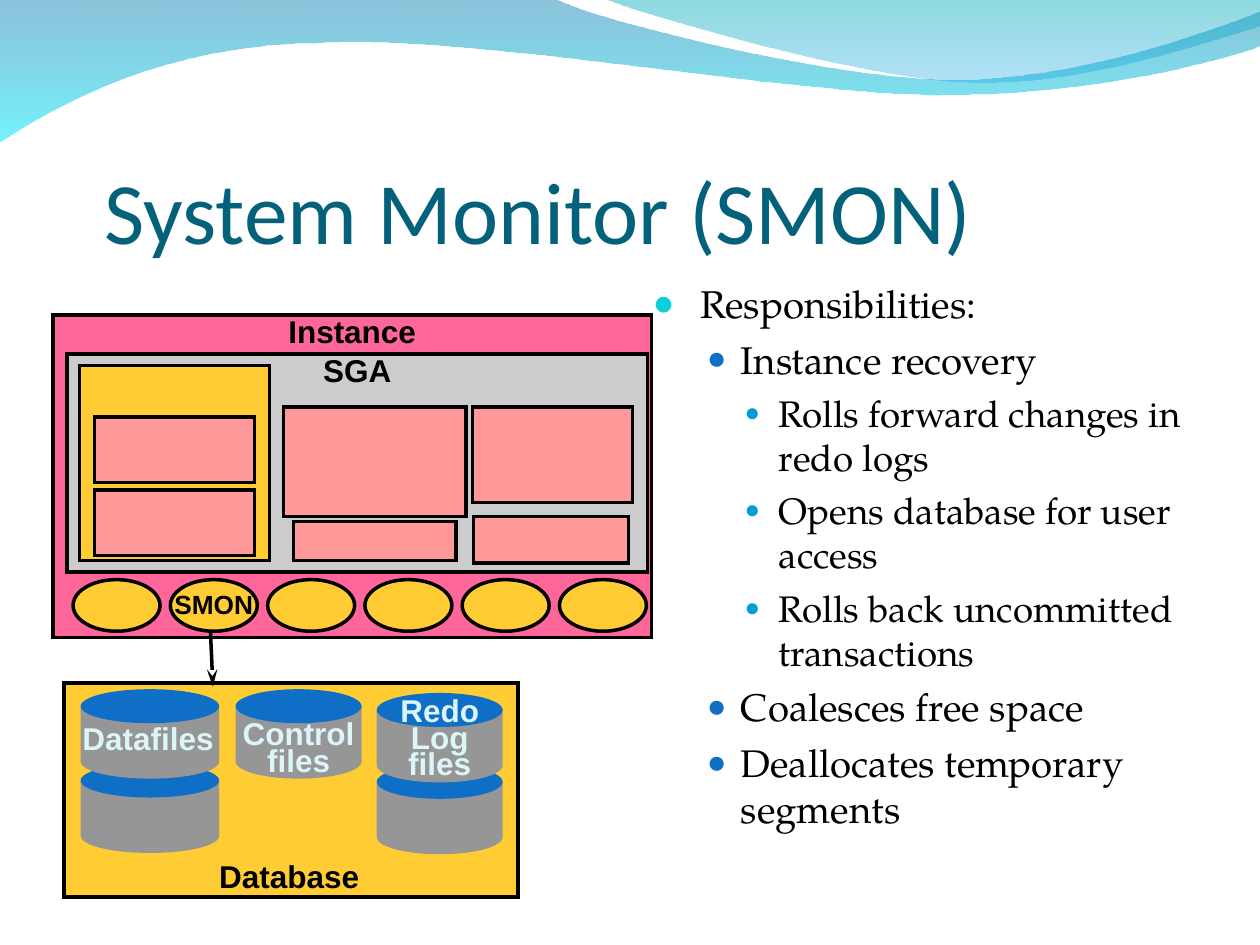
"""Build the System Monitor (SMON) slide."""
from lxml import etree
from pptx import Presentation, util as u
from pptx.dml import color
from pptx.enum import shapes, text
from pptx.oxml.ns import qn

COLORS = {
    "title": "04617B", "black": "000000", "label": "DBF5F9",
    "gold": "FFCC33", "pink": "FF6699", "rose": "FF9999", "silver": "CCCCCC",
    "steel": "969696", "blue": "0F6FC6", "aqua": "0BD0D9", "sky": "009DD9",
    "wave_top": "0079AF", "wave_base": "00EBF8",
    "crest_top": "00ADB6", "crest_base": "009BE5",
}
RECT = shapes.MSO_SHAPE.RECTANGLE
OVAL = shapes.MSO_SHAPE.OVAL
TOP, MIDDLE, BOTTOM = (text.MSO_ANCHOR.TOP, text.MSO_ANCHOR.MIDDLE,
                       text.MSO_ANCHOR.BOTTOM)
LEFT, CENTER = text.PP_ALIGN.LEFT, text.PP_ALIGN.CENTER

WAVE = [[(0, -0.01)], [(4.4, -0.01)],
        [(4.76, 0.17), (6.64, 0.63), (7.58, 0.63)],
        [(8.53, 0.63), (9.58, 0.26), (10, 0.09)], [(10.01, 0.36)],
        [(9.83, 0.44), (8.7, 0.76), (7.46, 0.75)],
        [(6.22, 0.75), (3.82, 0.28), (2.57, 0.34)],
        [(1.29, 0.35), (0.46, 0.83), (-0.01, 1.13)]]
CREST = [[(4.79, -0.01)], [(5.09, 0.11), (6.82, 0.62), (7.69, 0.65)],
         [(8.56, 0.69), (9.61, 0.32), (10, 0.21)], [(10, 0)]]

LEVELS = [
    dict(margin=0.38, hang=0.38, size=22, before=5.5, dot="aqua", scale=95),
    dict(margin=0.7, hang=0.27, size=22, before=5.5, dot="blue", scale=85),
    dict(margin=1, hang=0.27, size=21, before=5.2, dot="sky", scale=70),
]
POINTS = [
    (0, "Responsibilities:"),
    (1, "Instance recovery"),
    (2, "Rolls forward changes in redo logs"),
    (2, "Opens database for user access"),
    (2, "Rolls back uncommitted transactions"),
    (1, "Coalesces free space"),
    (1, "Deallocates temporary segments"),
]
BUFFERS = [(3.75, 3.23, 1.27, 0.76), (0.75, 3.89, 1.27, 0.52),
           (0.75, 3.31, 1.27, 0.52), (2.25, 3.23, 1.45, 0.87),
           (2.33, 4.14, 1.29, 0.31), (3.76, 4.1, 1.23, 0.37)]
CYLINDERS = [(1.87, 5.47, 1), (0.64, 6.06, 1.1), (0.64, 5.47, 1.1),
             (2.99, 6.07, 1), (2.99, 5.5, 1)]
FILE_LABELS = [("Control files", (1.73, 5.69, 1.28, 0.54)),
               ("Datafiles", (0.51, 5.73, 1.33, 0.33)),
               ("Redo Log files", (2.92, 5.51, 1.14, 0.74))]


def rgb(name):
    """Return the named colour."""
    return color.RGBColor.from_string(COLORS[name])


def inches(values):
    """Turn numbers into lengths."""
    return [u.Inches(value) for value in values]


def write(para, words, size=18, font="Arial", tint="black", bold=False,
          align=CENTER, spacing=None, before=0):
    """Write formatted words into a paragraph."""
    para.alignment = align
    para.space_before = u.Pt(before)
    if spacing:
        para.line_spacing = spacing
    span = para.add_run()
    span.text = words
    span.font.size, span.font.name, span.font.bold = u.Pt(size), font, bold
    span.font.color.rgb = rgb(tint)


def set_frame(frame, insets, anchor=TOP, wrap=True):
    """Set the insets, anchor and wrapping of a text frame."""
    (frame.margin_left, frame.margin_top,
     frame.margin_right, frame.margin_bottom) = inches(insets)
    frame.vertical_anchor = anchor
    frame.word_wrap = wrap
    frame.auto_size = text.MSO_AUTO_SIZE.NONE


def bend(shape, segments):
    """Turn each run of three line steps into one cubic curve."""
    steps = iter(list(shape.element.spPr.iter(qn("a:lnTo"))))
    for segment in segments:
        group = [next(steps) for _ in segment]
        if len(group) == 3:
            curve = etree.Element(qn("a:cubicBezTo"))
            group[0].addprevious(curve)
            for step in group:
                curve.append(step[0])
                step.getparent().remove(step)


class SlideBuilder:
    """Hold the style and the current slide."""

    def __init__(self, page, line_width=2):
        """Keep the page and the outline width."""
        self.page = page
        self.line_width = u.Pt(line_width)

    def title(self, words, place):
        """Fill the title placeholder."""
        box = self.page.shapes.title
        box.left, box.top, box.width, box.height = inches(place)
        set_frame(box.text_frame, (0, 0.05, 0, 0), BOTTOM)
        write(box.text_frame.paragraphs[0], words, size=50, font="Calibri",
              tint="title", align=LEFT)

    def bullets(self, points, place):
        """Fill the body placeholder with a list."""
        box = self.page.placeholders[1]
        box.left, box.top, box.width, box.height = inches(place)
        frame = box.text_frame
        set_frame(frame, (0.1, 0.05, 0.1, 0.05))
        for index, (level, words) in enumerate(points):
            para = frame.add_paragraph() if index else frame.paragraphs[0]
            para.level = level
            style = LEVELS[level]
            write(para, words, size=style["size"], font="TeX Gyre Pagella",
                  align=LEFT, before=style["before"])
            props = para._p.get_or_add_pPr()
            props.set("marL", str(u.Inches(style["margin"])))
            props.set("indent", str(-u.Inches(style["hang"])))
            tint = etree.SubElement(props, qn("a:buClr"))
            etree.SubElement(tint, qn("a:srgbClr"), val=COLORS[style["dot"]])
            etree.SubElement(props, qn("a:buSzPct"), val=str(style["scale"] * 1000))
            etree.SubElement(props, qn("a:buFont"), typeface="Arial")
            etree.SubElement(props, qn("a:buChar"), char="●")

    def wave(self, segments, stops):
        """Draw a translucent gradient wave behind the text."""
        start, *knots = [inches(knot) for segment in segments for knot in segment]
        builder = self.page.shapes.build_freeform(*start)
        builder.add_line_segments(knots, close=True)
        shape = builder.convert_to_shape()
        bend(shape, segments[1:])
        shape.shadow.inherit = False
        shape.line.fill.background()
        shape.fill.gradient()
        shape.fill.gradient_angle = 270
        for stop, (tint, _) in zip(shape.fill.gradient_stops, stops):
            stop.color.rgb = rgb(tint)
        fills = list(shape.element.spPr.iter(qn("a:srgbClr")))
        for fill, (_, opacity) in zip(fills, stops):
            etree.SubElement(fill, qn("a:alpha"), val=str(opacity * 1000))
        self.page.shapes.title.element.addprevious(shape.element)

    def outline(self, line):
        """Give a line the slide's black stroke and sharp corners."""
        line.color.rgb = rgb("black")
        line.width = self.line_width
        stroke = line._get_or_add_ln()
        etree.SubElement(stroke, qn("a:miter"), lim="800000")
        return stroke

    def shape(self, kind, place, fill, words="", size=18, anchor=TOP,
              outlined=True, parent=None):
        """Draw a preset shape with an optional label."""
        shape = (parent or self.page).shapes.add_shape(kind, *inches(place))
        shape.shadow.inherit = False
        shape.fill.solid()
        shape.fill.fore_color.rgb = rgb(fill)
        if outlined:
            self.outline(shape.line)
        else:
            shape.line.fill.background()
        if words:
            set_frame(shape.text_frame, (0.05, 0, 0.05, 0), anchor, wrap=False)
            write(shape.text_frame.paragraphs[0], words, size=size, bold=True,
                  spacing=0.95)

    def cylinder(self, left, top, width):
        """Draw a storage drum as a group."""
        group = self.page.shapes.add_group_shape()
        for kind, drop, height, fill in ((RECT, 0.14, 0.43, "steel"),
                                         (OVAL, 0, 0.27, "blue"),
                                         (OVAL, 0.44, 0.27, "steel")):
            self.shape(kind, (left, top + drop, width, height), fill,
                       outlined=False, parent=group)

    def label(self, words, place, insets, wrap=True, **style):
        """Add a bold text box."""
        box = self.page.shapes.add_textbox(*inches(place))
        set_frame(box.text_frame, insets, wrap=wrap)
        write(box.text_frame.paragraphs[0], words, bold=True, **style)

    def arrow(self, tip, tail):
        """Draw an arrow that points at the tip."""
        line = self.page.shapes.add_connector(
            shapes.MSO_CONNECTOR.STRAIGHT, *inches(tip + tail))
        stroke = self.outline(line.line)
        etree.SubElement(stroke, qn("a:headEnd"), type="stealth", w="med", len="lg")
        etree.SubElement(line.element.spPr, qn("a:effectLst"))


def main():
    """Build and save the deck."""
    deck = Presentation()
    deck.slide_width, deck.slide_height = inches((10, 7.5))
    draw = SlideBuilder(deck.slides.add_slide(deck.slide_layouts[1]))
    draw.wave(WAVE, (("wave_top", 45), ("wave_base", 55)))
    draw.wave(CREST, (("crest_top", 45), ("crest_base", 30)))
    draw.title("System Monitor (SMON)", (0.83, 0.83, 8.67, 1.25))
    draw.bullets(POINTS, (5.08, 2.17, 4.83, 4.86))

    draw.shape(RECT, (0.51, 5.42, 3.6, 1.7), "gold")
    for cylinder in CYLINDERS:
        draw.cylinder(*cylinder)
    for words, place in FILE_LABELS:
        draw.label(words, place, (0.11, 0.06, 0.11, 0.06), tint="label",
                   spacing=0.7, before=11.2)
    draw.label("Database", (1.64, 6.75, 1.31, 0.4), (0.1, 0.05, 0.1, 0.05), wrap=False)

    draw.shape(RECT, (0.42, 2.5, 4.75, 2.56), "pink", "Instance")
    draw.shape(RECT, (0.53, 2.81, 4.61, 1.73), "silver", "SGA")
    draw.shape(RECT, (0.63, 2.9, 1.51, 1.55), "gold")
    for place in BUFFERS:
        draw.shape(RECT, place, "rose")
    first, last = 0.58, 4.44
    for index, words in enumerate(("", "SMON", "", "", "", "")):
        left = first + (last - first) * index / 5
        draw.shape(OVAL, (left, 4.6, 0.69, 0.41), "gold", words, size=15, anchor=MIDDLE)
    draw.arrow((1.69, 5.45), (1.67, 5))
    deck.save("out.pptx")


if __name__ == "__main__":
    main()
